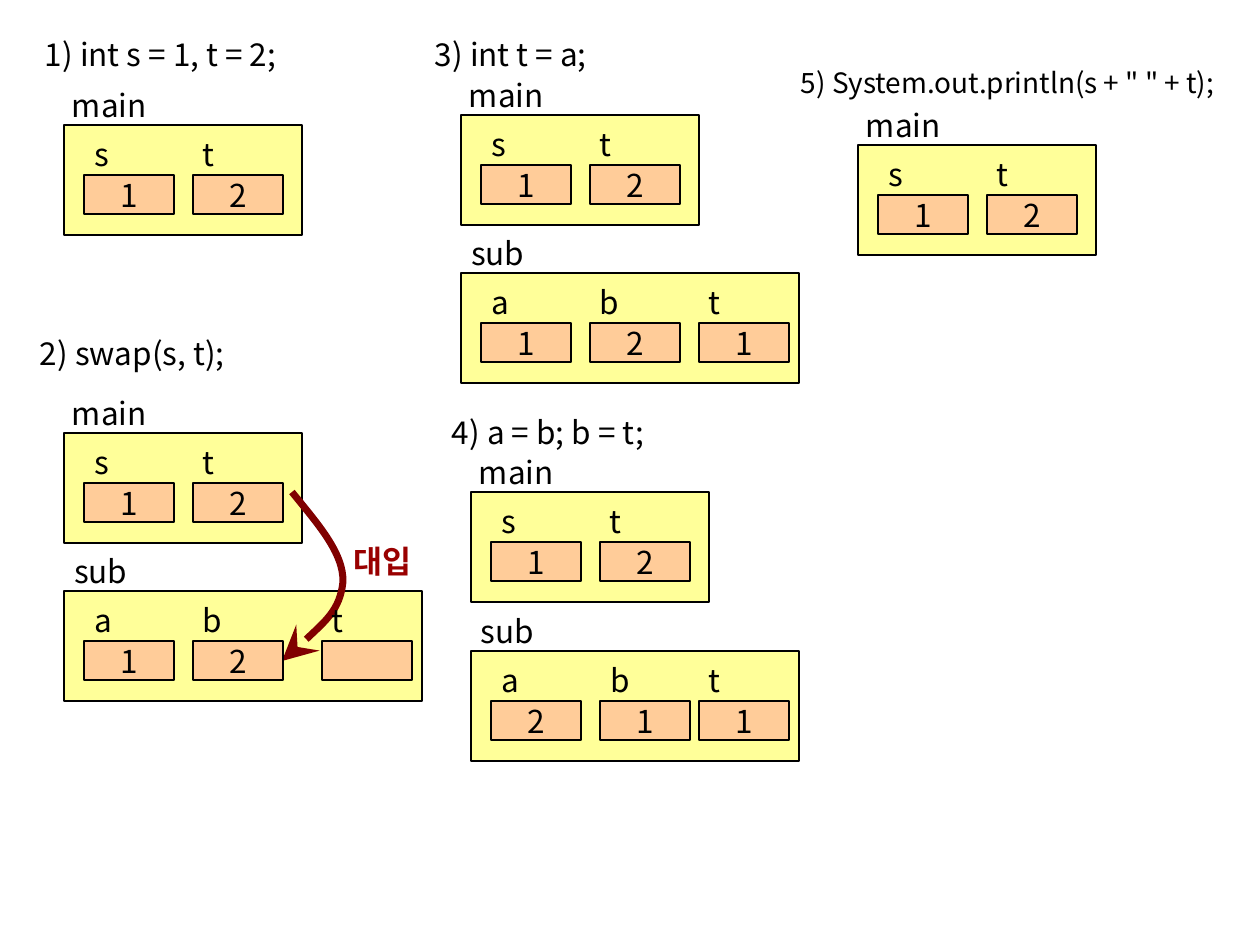
"""Build a slide that traces call-by-value through five steps of a swap program."""
import lxml.etree
import pptx
import pptx.dml.color
import pptx.enum.shapes
import pptx.enum.text
import pptx.oxml.ns
import pptx.util

SCALE = 914400 / 126
FONT = "Noto Sans CJK KR"
BLACK, YELLOW, ORANGE = "000000", "FFFF99", "FFCC99"
MAROON, RED = "800000", "990000"
LABEL_WIDTHS = {"main": 80, "sub": 58, "s": 17, "t": 13, "a": 19, "b": 21}
qn = pptx.oxml.ns.qn
color = pptx.dml.color.RGBColor.from_string

deck = pptx.Presentation()
deck.slide_width = pptx.util.Inches(10)
deck.slide_height = pptx.util.Inches(7.5)
page = deck.slides.add_slide(deck.slide_layouts[6])


def write(box, text, **changes):
    """Put one formatted line of text in a box."""
    frame = box.text_frame
    para = frame.paragraphs[0]
    span = para.add_run()
    span.text = text
    frame.word_wrap = False
    look = {"name": FONT, "size": pptx.util.Pt(18), "bold": False} | changes
    ink = look.pop("ink", BLACK)
    for name, value in look.items():
        setattr(span.font, name, value)
    span.font.color.rgb = color(ink)
    east = lxml.etree.SubElement(span.font._element, qn("a:ea"))
    east.set("typeface", FONT)
    return para


def add_box(left, top, width, height, fill=None):
    """Add a filled rectangle, or a bare text box when there is no fill."""
    place = [pptx.util.Emu(round(n * SCALE)) for n in (left, top, width, height)]
    if fill is None:
        box = page.shapes.add_textbox(*place)
        for side in ("left", "top", "right", "bottom"):
            setattr(box.text_frame, f"margin_{side}", 0)
        box.text_frame.auto_size = pptx.enum.text.MSO_AUTO_SIZE.SHAPE_TO_FIT_TEXT
        return box
    box = page.shapes.add_shape(pptx.enum.shapes.MSO_SHAPE.RECTANGLE, *place)
    box.shadow.inherit = False
    box.fill.solid()
    box.fill.fore_color.rgb = color(fill)
    box.line.color.rgb = color(BLACK)
    box.line.width = pptx.util.Pt(0.75)
    return box


headings = [
    (45, 35, 245, "1) int s = 1, t = 2;", 18),
    (40, 334, 193, "2) swap(s, t);", 18),
    (435, 35, 163, "3) int t = a;", 18),
    (452, 413, 202, "4) a = b; b = t;", 18),
    (801, 66, 429, '5) System.out.println(s + " " + t);', 16),
]
for left, top, width, text, size in headings:
    write(add_box(left, top, width, 2 * size + 2), text, size=pptx.util.Pt(size))

main_cells = [(20, "s", "1"), (129, "t", "2")]
scopes = [
    ("main", 64, 125, 238, main_cells),
    ("main", 64, 433, 238, main_cells),
    ("sub", 64, 591, 358, [(20, "a", "1"), (129, "b", "2"), (258, "t", "")]),
    ("main", 461, 115, 238, main_cells),
    ("sub", 461, 273, 338, [(20, "a", "1"), (129, "b", "2"), (238, "t", "1")]),
    ("main", 471, 492, 238, main_cells),
    ("sub", 471, 651, 328, [(20, "a", "2"), (129, "b", "1"), (228, "t", "1")]),
    ("main", 858, 145, 238, main_cells),
]
for scope, left, top, width, cells in scopes:
    add_box(left, top, width, 110, YELLOW)
    indent = 8 if scope == "main" else 10
    write(add_box(left + indent, top - 39, LABEL_WIDTHS[scope], 38), scope)

curve = [(317, 523), (344, 553), (343, 582), (340, 610), (311, 636), (282, 661)]
builder = page.shapes.build_freeform(292, 492, scale=SCALE)
builder.add_line_segments(curve, close=False)
arrow = builder.convert_to_shape()
arrow.shadow.inherit = False
arrow.fill.background()
arrow.line.color.rgb = color(MAROON)
arrow.line.width = pptx.util.Pt(4)
lines = list(arrow._element.iter(qn("a:lnTo")))
for start in range(0, len(lines), 3):
    bend = lxml.etree.Element(qn("a:cubicBezTo"))
    lines[start].addprevious(bend)
    for line in lines[start:start + 3]:
        bend.append(line[0])
        line.getparent().remove(line)
tail = lxml.etree.SubElement(arrow.line._get_or_add_ln(), qn("a:tailEnd"))
for name, value in {"type": "stealth", "w": "lg", "len": "lg"}.items():
    tail.set(name, value)
write(add_box(354, 542, 62, 38), "대입", bold=True, ink=RED)

for scope, left, top, width, cells in scopes:
    for offset, variable, value in cells:
        cell = add_box(left + offset, top + 50, 90, 39, ORANGE)
        if value:
            cell.text_frame.vertical_anchor = pptx.enum.text.MSO_ANCHOR.MIDDLE
            write(cell, value).alignment = pptx.enum.text.PP_ALIGN.CENTER
        label = add_box(left + offset + 10, top + 10, LABEL_WIDTHS[variable], 38)
        write(label, variable)

deck.save("out.pptx")
